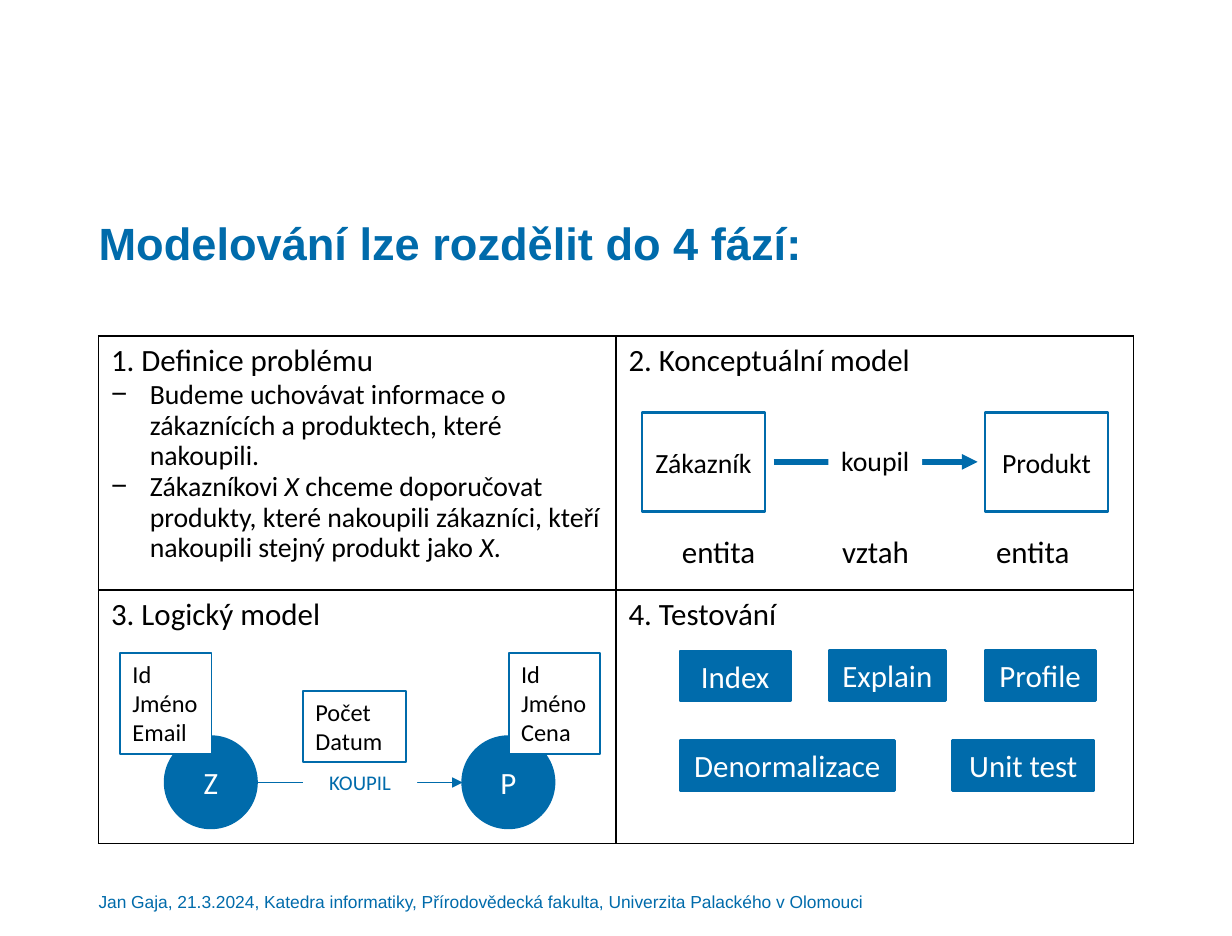
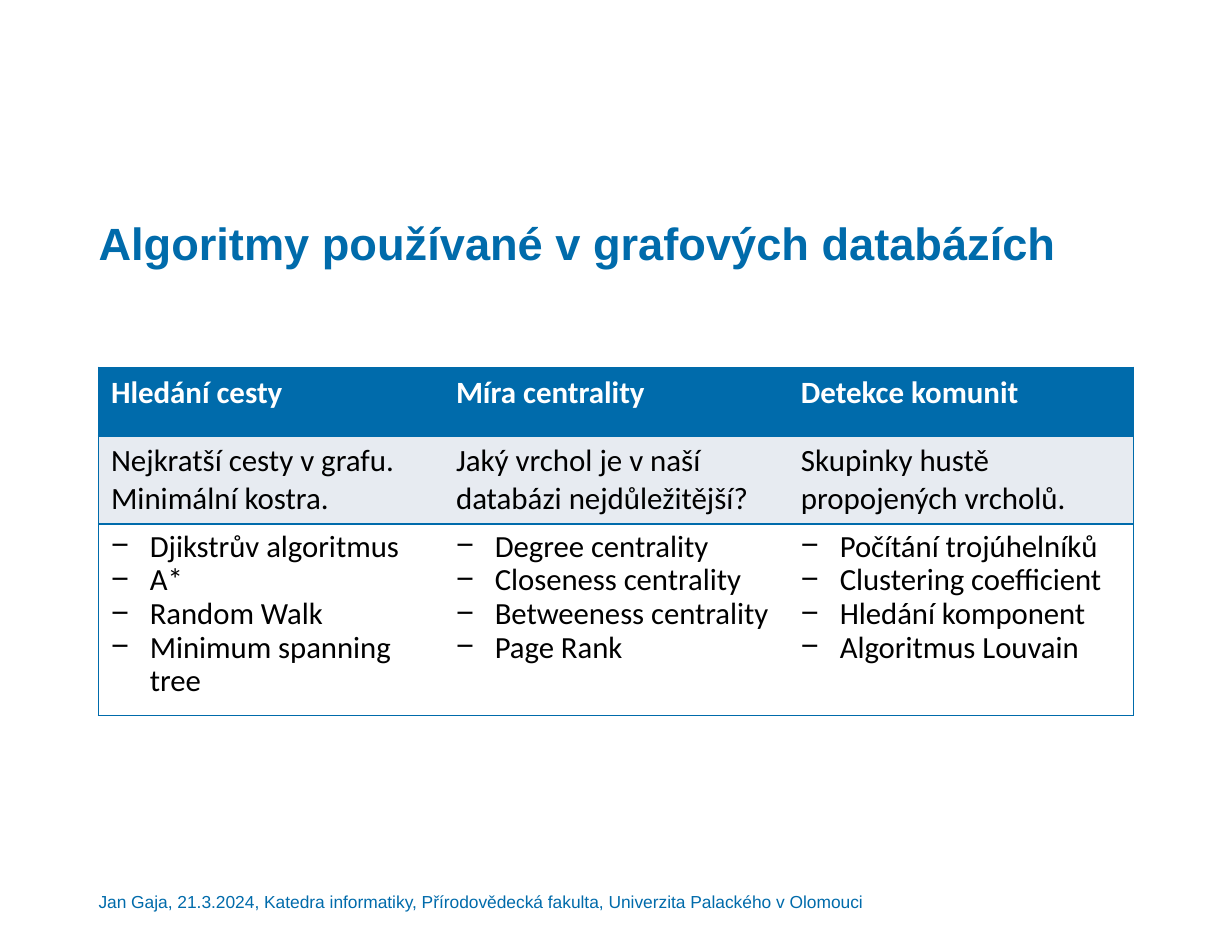
from dataclasses import dataclass
from typing import Any

from lxml import etree
from pptx import Presentation
from pptx import util as u
from pptx.dml.color import RGBColor
from pptx.enum import shapes as s, text as t
from pptx.oxml import ns

HUES = {"blue": "006BAB", "black": "000000", "white": "FFFFFF", "pale": "E7EBF1"}
WIDE, HIGH = u.Cm(25), u.Cm(19)
LEFT, SPAN = 8, 84  # shared text column, in percent of the width
FOOT = ("Jan Gaja, 21.3.2024, Katedra informatiky, Přírodovědecká fakulta, "
        "Univerzita Palackého v Olomouci")
PLAIN = "{2D5ABB26-0587-4C30-8999-92F81FD0307C}"
BODY, MID, SMALL = 17.8, 16, 14
RECT = s.MSO_SHAPE.RECTANGLE
PROC = s.MSO_SHAPE.FLOWCHART_PROCESS
DISC = s.MSO_SHAPE.FLOWCHART_CONNECTOR


@dataclass
class Font:
    size: float = BODY
    hue: str = "black"
    bold: bool = False
    name: str = "Calibri"


@dataclass
class Box:
    """Place in percent of the slide, with text and look."""
    x: float
    y: float
    w: float
    h: float
    text: str
    font: Font
    kind: Any = RECT
    fill: str = "white"
    line: float = 0
    mid: bool = True
    left: bool = False


@dataclass
class Cell:
    head: str = ""
    items: tuple[str, ...] = ()
    font: Font | None = None
    size: float = MID
    fill: str = ""


def px(share: float) -> int:
    return round(WIDE * share / 100)


def py(share: float) -> int:
    return round(HIGH * share / 100)


def hue(name: str) -> RGBColor:
    return RGBColor.from_string(HUES[name])


def node(up: Any, tag: str, **att: str) -> Any:
    return etree.SubElement(up, ns.qn(tag), att)


def style(par: Any, font: Font) -> None:
    for run in par.runs:
        f = run.font
        f.size, f.name, f.bold = u.Pt(font.size), font.name, font.bold
        f.color.rgb = hue(font.hue)


# Text boxes
def label(slide: Any, x: float, y: float, w: float, h: float, words: str,
          font: Font) -> Any:
    frame = slide.shapes.add_textbox(px(x), py(y), px(w), py(h)).text_frame
    frame.word_wrap = True
    frame.margin_left = frame.margin_right = 0
    frame.margin_top = frame.margin_bottom = 0
    frame.text = words
    style(frame.paragraphs[0], font)
    return frame


def page(deck: Any, title: str) -> Any:
    slide = deck.slides.add_slide(deck.slide_layouts[6])
    head = label(slide, LEFT, 23.66, SPAN, 10.96, title,
                 Font(26, "blue", True, "Arial"))
    head.paragraphs[0].line_spacing = 0.9
    foot = label(slide, LEFT, 94.2, 79.2, 3.2, FOOT,
                 Font(10, "blue", name="Arial"))
    foot.vertical_anchor = t.MSO_ANCHOR.BOTTOM
    return slide


# Shapes and arrows
def draw(slide: Any, box: Box) -> None:
    shape = slide.shapes.add_shape(box.kind, px(box.x), py(box.y),
                                   px(box.w), py(box.h))
    shape.shadow.inherit = False
    shape.fill.solid()
    shape.fill.fore_color.rgb = hue(box.fill)
    if box.line:
        shape.line.color.rgb = hue("blue")
        shape.line.width = u.Pt(box.line)
    else:
        shape.line.fill.background()
    frame = shape.text_frame
    frame.word_wrap = True
    frame.margin_left = u.Inches(0.1) if box.left else 0
    frame.margin_right = 0
    frame.vertical_anchor = t.MSO_ANCHOR.MIDDLE if box.mid else t.MSO_ANCHOR.TOP
    frame.text = box.text
    for par in frame.paragraphs:
        par.alignment = t.PP_ALIGN.LEFT if box.left else t.PP_ALIGN.CENTER
        style(par, box.font)


def arrow(slide: Any, x: float, end: float, y: float, width: float) -> None:
    link = slide.shapes.add_connector(s.MSO_CONNECTOR.STRAIGHT,
                                      px(x), py(y), px(end), py(y))
    link.line.color.rgb = hue("blue")
    link.line.width = u.Pt(width)
    node(link.line._get_or_add_ln(), "a:tailEnd", type="triangle")
    node(link._element.spPr, "a:effectLst")


# Tables
def bullet(par: Any) -> None:
    prop = par._p.get_or_add_pPr()
    prop.set("marL", str(u.Inches(0.31)))
    prop.set("indent", str(-u.Inches(0.31)))
    node(prop, "a:buFont", typeface="Arial")
    node(prop, "a:buChar", char="−")
    par.line_spacing = 0.9


def edge(cell: Any, sides: str, tint: str) -> None:
    prop = cell._tc.get_or_add_tcPr()
    for side in sides:
        line = node(prop, f"a:ln{side}", w=str(u.Pt(1)))
        node(node(line, "a:solidFill"), "a:srgbClr", val=HUES[tint])


def write(cell: Any, data: Cell) -> None:
    """Fill a cell; in an item, text between bars is italic."""
    frame = cell.text_frame
    par = frame.paragraphs[0]
    font = data.font or Font()
    if data.head:
        par.text = data.head
        style(par, font)
    for i, item in enumerate(data.items):
        if i or data.head:
            par = frame.add_paragraph()
        bullet(par)
        for j, part in enumerate(item.split("|")):
            run = par.add_run()
            run.text = part
            run.font.italic = j % 2 == 1
        style(par, Font(data.size))
    if data.fill:
        cell.fill.solid()
        cell.fill.fore_color.rgb = hue(data.fill)
    else:
        cell.fill.background()


def table(slide: Any, y: float, rows: list[float], cells: list[list[Cell]],
          tint: str, inner: bool) -> None:
    count = len(cells[0])
    grid = slide.shapes.add_table(len(rows), count, px(LEFT), py(y),
                                  px(SPAN), py(sum(rows))).table
    grid.first_row = grid.horz_banding = False
    grid._tbl.tblPr.find(ns.qn("a:tableStyleId")).text = PLAIN
    for col in grid.columns:
        col.width = px(SPAN / count)
    for r, high in enumerate(rows):
        grid.rows[r].height = py(high)
        for c, data in enumerate(cells[r]):
            cell = grid.cell(r, c)
            sides = "L" if inner or c == 0 else ""
            sides += "R" if inner or c == count - 1 else ""
            edge(cell, sides + "TB", tint)
            write(cell, data)


def phases(deck: Any) -> None:
    slide = page(deck, "Modelování lze rozdělit do 4 fází:")
    goals = ("Budeme uchovávat informace o zákaznících a produktech, "
             "které nakoupili.",
             "Zákazníkovi |X| chceme doporučovat produkty, které nakoupili "
             "zákazníci, kteří nakoupili stejný produkt jako |X|.")
    table(slide, 35.92, [27.1, 27.1],
          [[Cell("1. Definice problému", goals), Cell("2. Konceptuální model")],
           [Cell("3. Logický model"), Cell("4. Testování")]], "black", True)

    # Conceptual model
    for x, name in ((52.1, "Zákazník"), (79.95, "Produkt")):
        draw(slide, Box(x, 44.05, 10, 10.6, name, Font(MID), PROC, line=1.5))
    arrow(slide, 62.8, 79.35, 49.35, 3)
    draw(slide, Box(67.25, 46.75, 7.6, 4.95, "koupil", Font(MID), mid=False))

    # Logical model
    for x, name in ((13.4, "Z"), (37.55, "P")):
        draw(slide, Box(x, 78.7, 7.42, 9.76, name, Font(BODY, "white"), DISC,
                        "blue", 1.5))
    arrow(slide, 20.82, 37.55, 83.6, 1)
    draw(slide, Box(24.6, 81.55, 9.25, 4, "KOUPIL", Font(12, "blue"), mid=False))
    for x, y, w, h, names in ((9.75, 69.75, 7.42, 10.8, "Id\nJméno\nEmail"),
                              (41.3, 69.75, 7.42, 10.8, "Id\nJméno\nCena"),
                              (24.6, 73.85, 8.33, 7.6, "Počet\nDatum")):
        draw(slide, Box(x, y, w, h, names, Font(SMALL), line=1, mid=False,
                        left=True))

    # Testing
    for x, y, w, name in ((55.2, 69.55, 8.95, "Index"),
                          (67.3, 69.5, 9.45, "Explain"),
                          (79.95, 69.5, 8.95, "Profile"),
                          (55.2, 79.1, 17.4, "Denormalizace"),
                          (77.3, 79.1, 11.5, "Unit test")):
        draw(slide, Box(x, y, w, 5.35, name, Font(BODY, "white"), fill="blue",
                        line=1.5))

    # Captions under the conceptual model
    for i, name in enumerate(("entita", "vztah", "entita")):
        frame = label(slide, 53.85 + 12.75 * i, 56.87, 8.95, 4.7, name, Font())
        frame.paragraphs[0].alignment = t.PP_ALIGN.CENTER


def methods(deck: Any) -> None:
    slide = page(deck, "Algoritmy používané v grafových databázích")
    heads = ("Hledání cesty", "Míra centrality", "Detekce komunit")
    asks = ("Nejkratší cesty v grafu. Minimální kostra.",
            "Jaký vrchol je v naší databázi nejdůležitější?",
            "Skupinky hustě propojených vrcholů.")
    lists = (("Djikstrův algoritmus", "A*", "Random Walk",
              "Minimum spanning tree"),
             ("Degree centrality", "Closeness centrality",
              "Betweeness centrality", "Page Rank"),
             ("Počítání trojúhelníků", "Clustering coefficient",
              "Hledání komponent", "Algoritmus Louvain"))
    top = Font(BODY, "white", True)
    table(slide, 39.25, [7.35, 9.4, 20.45],
          [[Cell(head, font=top, fill="blue") for head in heads],
           [Cell(ask, fill="pale") for ask in asks],
           [Cell(items=names, size=17.7) for names in lists]], "blue", False)


def main() -> None:
    deck = Presentation()
    deck.slide_width, deck.slide_height = WIDE, HIGH
    phases(deck)
    methods(deck)
    deck.save("out.pptx")


if __name__ == "__main__":
    main()
